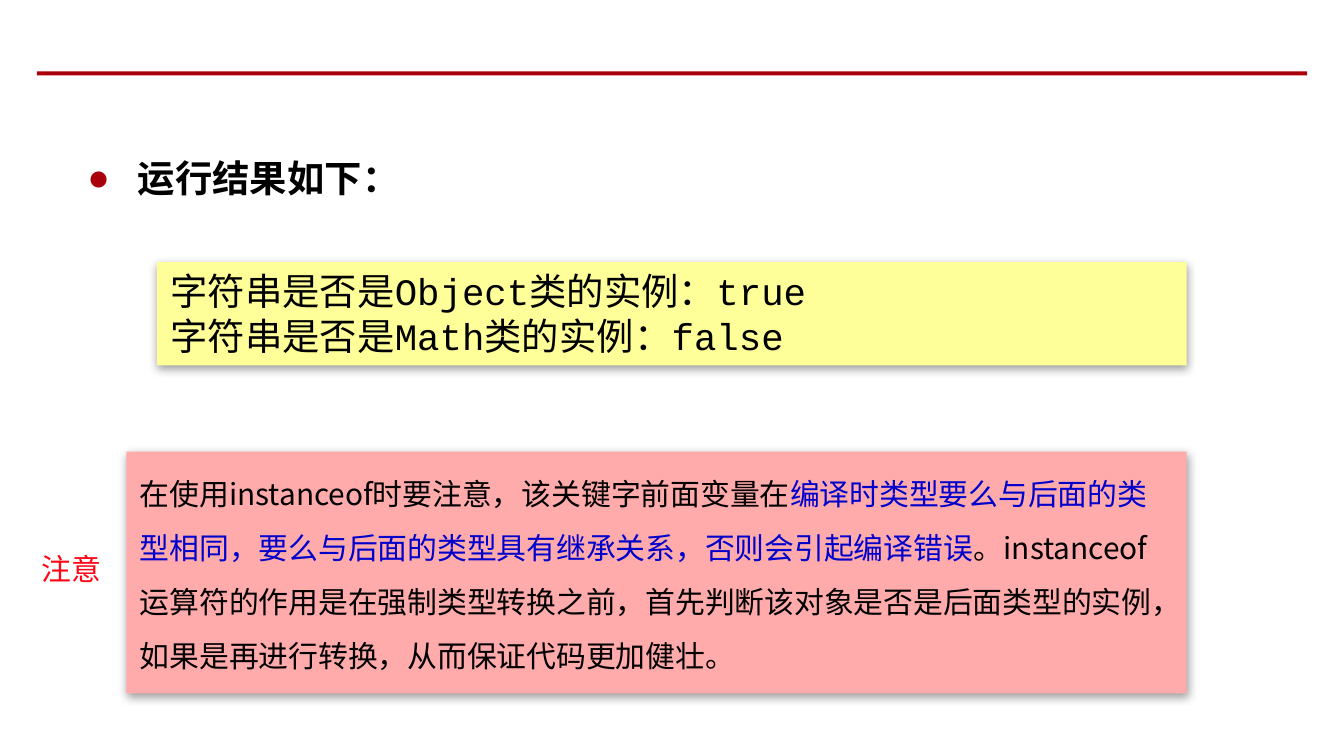
from lxml.etree import SubElement
from pptx import Presentation
from pptx.dml.color import RGBColor
from pptx.enum.shapes import MSO_SHAPE
from pptx.enum.text import MSO_ANCHOR, MSO_AUTO_SIZE
from pptx.oxml.ns import qn
from pptx.util import Pt

BLACK = RGBColor(0x00, 0x00, 0x00)
DARK_RED = RGBColor(0xAA, 0x00, 0x0B)
BRIGHT_RED = RGBColor(0xFF, 0x05, 0x17)
BLUE = RGBColor(0x00, 0x00, 0xCC)
PINK = RGBColor(0xFF, 0xAA, 0xAB)
YELLOW = RGBColor(0xFF, 0xFF, 0x99)

CJK = "Noto Sans CJK SC"
HEADING = {"size": Pt(20), "name": CJK, "bold": True}
OUTPUT = {"size": Pt(20), "name": "Courier New"}
NOTE = {"size": Pt(16), "name": CJK}
NOTE_END = {"size": Pt(16), "name": "Times New Roman"}
SPACED = {"line_spacing": 1.5, "space_before": Pt(0)}
TOP_FIXED = {"auto_size": MSO_AUTO_SIZE.NONE, "vertical_anchor": MSO_ANCHOR.TOP, "word_wrap": True}


def apply(target, values):
    """Set every attribute in values on target."""
    for attribute, value in values.items():
        setattr(target, attribute, value)


def place(shape, left, top, width, height):
    """Position a shape, with lengths in points."""
    apply(shape, {"left": Pt(left), "top": Pt(top), "width": Pt(width), "height": Pt(height)})


def add_run(paragraph, text, style, colour=BLACK):
    """Append a run with the same style for Latin and Chinese text."""
    run = paragraph.add_run()
    run.text = text
    apply(run.font, style)
    run.font.color.rgb = colour
    SubElement(run.font._element, qn("a:ea"), typeface=CJK)


def set_bullet(paragraph, indent=0, colour=None):
    """Give a paragraph a coloured round bullet, or none without a colour."""
    properties = paragraph._p.get_or_add_pPr()
    properties.set("marL", str(Pt(indent)))
    properties.set("indent", str(-Pt(indent)))
    if colour is None:
        SubElement(properties, qn("a:buNone"))
        return
    SubElement(SubElement(properties, qn("a:buClr")), qn("a:srgbClr"), val=str(colour))
    SubElement(properties, qn("a:buChar"), char="●")


def fill_panel(panel, colour):
    """Fill a panel and give it a soft shadow below."""
    panel.fill.solid()
    panel.fill.fore_color.rgb = colour
    effects = SubElement(panel._element.spPr, qn("a:effectLst"))
    shadow = SubElement(effects, qn("a:outerShdw"), blurRad=str(Pt(5)), dist=str(Pt(1.6)),
                        dir="5400000", algn="t", rotWithShape="0")
    tint = SubElement(shadow, qn("a:srgbClr"), val=str(BLACK))
    SubElement(tint, qn("a:alpha"), val="38000")


def add_header_rule(slide):
    """Draw the red rule across the top."""
    rule = slide.shapes.add_shape(MSO_SHAPE.RECTANGLE, Pt(19.8), Pt(38.2), Pt(680.4), Pt(2.2))
    rule.shadow.inherit = False
    rule.fill.solid()
    rule.fill.fore_color.rgb = DARK_RED
    rule.line.fill.background()


def write_body(body, box, runs, indent=0, bullet_colour=None):
    """Place a body placeholder and write one paragraph of styled runs."""
    place(body, *box)
    apply(body.text_frame, TOP_FIXED)
    paragraph = body.text_frame.paragraphs[0]
    set_bullet(paragraph, indent, bullet_colour)
    apply(paragraph, SPACED)
    for run in runs:
        add_run(paragraph, *run)


def add_text(slide, box, lines, style, colour=BLACK, wrap=True):
    """Add a text box with one paragraph per line."""
    label = slide.shapes.add_textbox(*map(Pt, box))
    frame = label.text_frame
    apply(frame, {"word_wrap": wrap, "auto_size": MSO_AUTO_SIZE.SHAPE_TO_FIT_TEXT})
    for index, line in enumerate(lines):
        paragraph = frame.add_paragraph() if index else frame.paragraphs[0]
        add_run(paragraph, line, style, colour)
    return label


def main():
    """Build the slide on the instanceof operator."""
    deck = Presentation()
    apply(deck, {"slide_width": Pt(720), "slide_height": Pt(405)})
    slide = deck.slides.add_slide(deck.slide_layouts[3])
    title = slide.shapes.title
    title._element.getparent().remove(title._element)
    heading, note = slide.placeholders

    add_header_rule(slide)
    write_body(heading, (39.6, 67.7, 646.6, 185.8),
               [("运行结果如下：", HEADING)], 27, DARK_RED)
    write_body(note, (67.7, 241.9, 568.1, 129.6), [
        ("在使用instanceof时要注意，该关键字前面变量在", NOTE),
        ("编译时类型要么与后面的类型相同，要么与后面的类型具有继承关系，否则会引起编译错误", NOTE, BLUE),
        ("。instanceof运算符的作用是在强制类型转换之前，首先判断该对象是否是后面类型的实例，"
         "如果是再进行转换，从而保证代码更加健壮", NOTE),
        ("。", NOTE_END),
    ])
    fill_panel(note, PINK)
    output = add_text(slide, (84.2, 140.4, 551.5, 55.4),
                      ["字符串是否是Object类的实例：true", "字符串是否是Math类的实例：false"], OUTPUT)
    fill_panel(output, YELLOW)
    add_text(slide, (15.1, 291.6, 46.8, 26.6), ["注意"], NOTE, BRIGHT_RED, wrap=False)
    deck.save("out.pptx")


if __name__ == "__main__":
    main()
